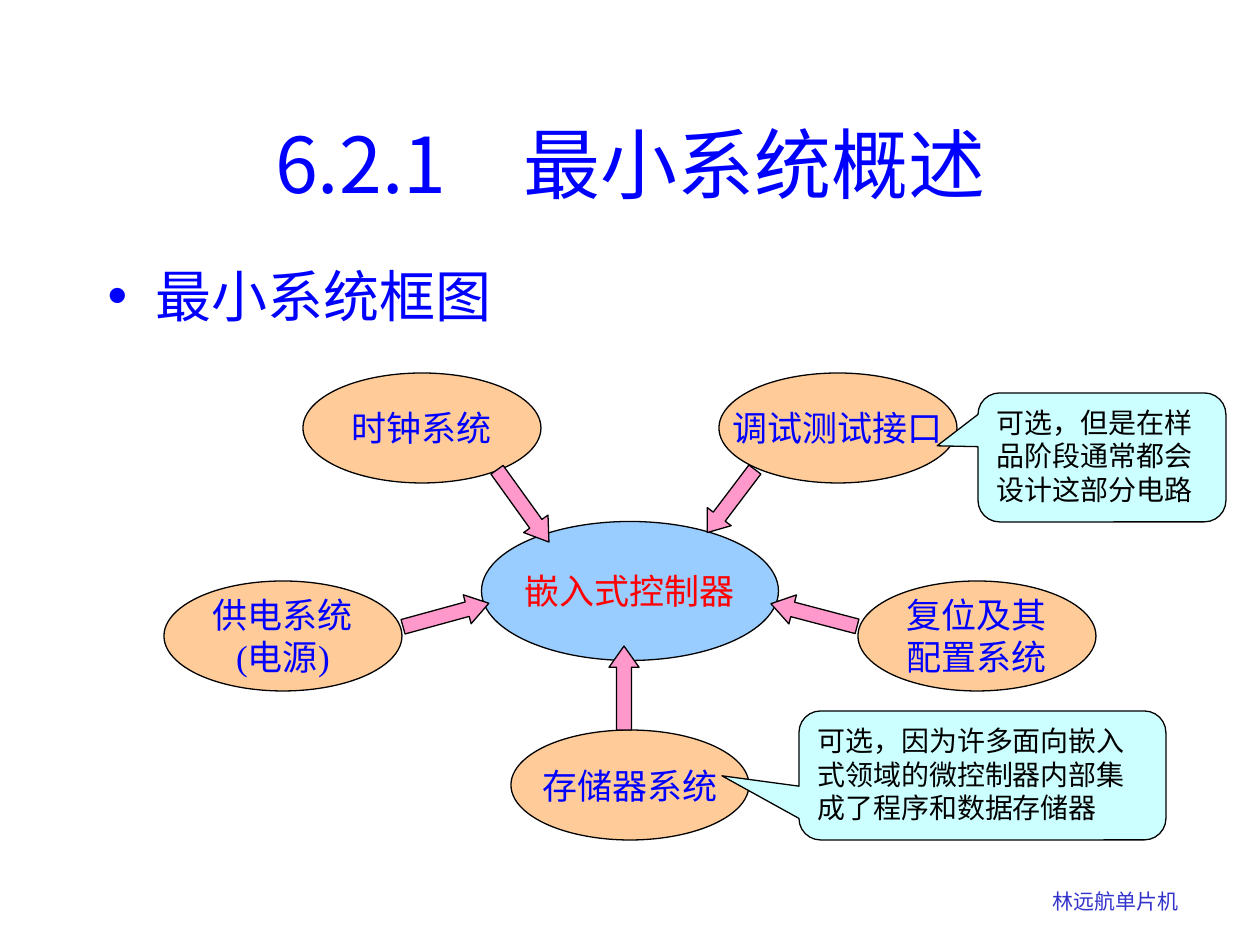
from dataclasses import dataclass

from lxml.etree import SubElement
from pptx import Presentation
from pptx.dml.color import RGBColor
from pptx.enum.shapes import MSO_SHAPE as Preset
from pptx.enum.text import MSO_ANCHOR as Anchor, PP_ALIGN as Align
from pptx.oxml.ns import qn
from pptx.slide import Slide
from pptx.util import Pt

COLORS = {
    "title": "0000FF",
    "footer": "3333CC",
    "hub": "99CCFF",
    "hub_text": "FF0000",
    "module": "FFCC99",
    "arrow": "FF99CC",
    "callout": "CCFFFF",
    "ink": "000000",
}
HUB_CENTER = (630, 591)
HUB_SIZE = (297, 139)
MODULE_SIZE = (238, 110)
MODULES = [
    (-208, -163, ["时钟系统"]),
    (208, -163, ["调试测试接口"]),
    (347, 45, ["复位及其", "配置系统"]),
    (0, 194, ["存储器系统"]),
    (-347, 45, ["供电系统", "(电源)"]),
]
ARROWS = [
    (446, 615, 89, 344.7),
    (523, 506, 89, 54.3),
    (624, 688, 84, 270),
    (731, 501, 79, 127.1),
    (814, 615, 89, 194.7),
]
CALLOUTS = [
    (799, 711, 367, (-0.71, 0.003, 0.167),
     "可选，因为许多面向嵌入式领域的微控制器内部集成了程序和数据存储器"),
    (978, 393, 248, (-0.665, -0.09, 0.167),
     "可选，但是在样品阶段通常都会设计这部分电路"),
]


def px(length):
    return round(length * 914400 / 126)


def color(name):
    return RGBColor.from_string(COLORS[name])


@dataclass
class Painter:
    page: Slide
    font: str = "Times New Roman"
    title_font: str = "Noto Sans CJK SC"

    def place(self, box, left, top, width, height):
        box.left, box.top = px(left), px(top)
        box.width, box.height = px(width), px(height)

    def add_text(self, box, lines, size, ink, align=Align.LEFT,
                 anchor=Anchor.TOP, wrap=True, font=None):
        frame = box.text_frame
        frame.word_wrap = wrap
        frame.vertical_anchor = anchor
        for index, line in enumerate(lines):
            para = frame.add_paragraph() if index else frame.paragraphs[0]
            para.alignment = align
            para.space_before = Pt(0)
            span = para.add_run()
            span.text = line
            span.font.size = Pt(size)
            span.font.name = font or self.font
            span.font.color.rgb = color(ink)

    def title(self, text, *area):
        box = self.page.shapes.title
        self.place(box, *area)
        self.add_text(box, [text], 44, "title", Align.CENTER, Anchor.MIDDLE,
                      font=self.title_font)
        fonts = box.text_frame.paragraphs[0].runs[0].font._element
        SubElement(fonts, qn("a:ea")).set("typeface", self.title_font)

    def bullet(self, text, *area):
        box = self.page.placeholders[1]
        self.place(box, *area)
        props = box.text_frame.paragraphs[0]._p.get_or_add_pPr()
        props.set("marL", str(px(48)))
        props.set("indent", str(px(-48)))
        tint = SubElement(props, qn("a:buClr"))
        SubElement(tint, qn("a:srgbClr")).set("val", COLORS["title"])
        SubElement(props, qn("a:buChar")).set("char", "•")
        self.add_text(box, [text], 32, "title")

    def label(self, text, *area):
        box = self.page.shapes.add_textbox(*map(px, area))
        self.add_text(box, [text], 12, "footer")

    def shape(self, preset, fill, *area):
        box = self.page.shapes.add_shape(preset, *map(px, area))
        box.shadow.inherit = False
        box.fill.solid()
        box.fill.fore_color.rgb = color(fill)
        box.line.color.rgb = color("ink")
        box.line.width = Pt(0.75)
        return box

    def oval(self, center, size, lines, fill, ink):
        (x, y), (width, height) = center, size
        box = self.shape(Preset.OVAL, fill, x - width / 2, y - height / 2,
                         width, height)
        self.add_text(box, lines, 20, ink, Align.CENTER, Anchor.MIDDLE, False)

    def arrow(self, x, y, length, angle):
        box = self.shape(Preset.RIGHT_ARROW, "arrow", x - length / 2, y - 15,
                         length, 30)
        box.adjustments[1] = length / 119
        box.rotation = angle

    def callout(self, left, top, width, pointer, text):
        box = self.shape(Preset.ROUNDED_RECTANGULAR_CALLOUT, "callout",
                         left, top, width, 129)
        for index, value in enumerate(pointer):
            box.adjustments[index] = value
        self.add_text(box, [text], 16, "ink")


def main():
    deck = Presentation()
    deck.slide_width, deck.slide_height = px(1260), px(945)
    painter = Painter(deck.slides.add_slide(deck.slide_layouts[1]))
    painter.label("林远航单片机", 1040, 882, 199, 38)
    painter.title("6.2.1　最小系统概述", 95, 84, 1071, 158)
    painter.bullet("最小系统框图", 95, 255, 556, 84)
    painter.oval(HUB_CENTER, HUB_SIZE, ["嵌入式控制器"], "hub", "hub_text")
    for dx, dy, lines in MODULES:
        center = (HUB_CENTER[0] + dx, HUB_CENTER[1] + dy)
        painter.oval(center, MODULE_SIZE, lines, "module", "title")
    for arrow in ARROWS:
        painter.arrow(*arrow)
    for callout in CALLOUTS:
        painter.callout(*callout)
    deck.save("out.pptx")


if __name__ == "__main__":
    main()
